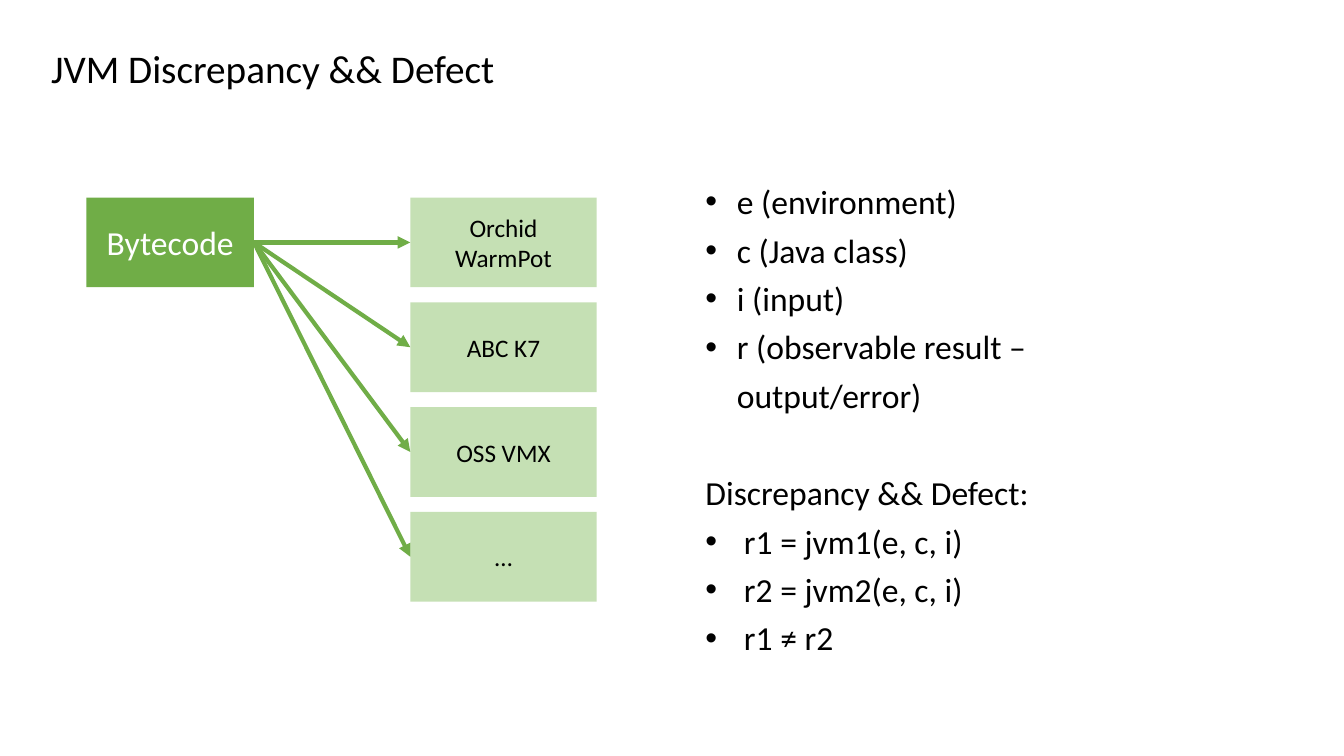
from lxml import etree
from pptx import Presentation
from pptx.dml.color import RGBColor
from pptx.enum.shapes import MSO_CONNECTOR, MSO_SHAPE
from pptx.enum.text import MSO_ANCHOR, MSO_AUTO_SIZE, PP_ALIGN
from pptx.oxml.ns import qn
from pptx.util import Cm, Pt

GREEN = RGBColor(0x70, 0xAD, 0x47)
LIGHT_GREEN = RGBColor(0xC5, 0xE0, 0xB4)
BLACK = RGBColor(0, 0, 0)
WHITE = RGBColor(0xFF, 0xFF, 0xFF)
FONT = "Calibri"

MACHINES = ["Orchid WarmPot", "ABC K7", "OSS VMX", "…"]
ROW_TOP, ROW_PITCH, BOX_HEIGHT = 4.98, 2.64, 2.26
BYTECODE_LEFT, BYTECODE_WIDTH = 2.18, 4.22
MACHINE_LEFT, MACHINE_WIDTH = 10.34, 4.7

# Each line: wording, hanging indent in cm, space before in points
DEFINITIONS = [
    ("e (environment)", 0.79, 0),
    ("c (Java class)", 0.79, 0),
    ("i (input)", 0.79, 0),
    ("r (observable result – output/error)", 0.79, 0),
    ("Discrepancy && Defect:", 0, 35),
    ("r1 = jvm1(e, c, i)", 0.97, 0),
    ("r2 = jvm2(e, c, i)", 0.97, 0),
    ("r1 ≠ r2", 0.97, 0),
]


def write(paragraph, wording, size, color):
    paragraph.text = wording
    for run in paragraph.runs:
        run.font.name = FONT
        run.font.size = Pt(size)
        run.font.color.rgb = color


def add_text_frame(slide, left, top, width, height):
    area = slide.shapes.add_textbox(Cm(left), Cm(top), Cm(width), Cm(height))
    frame = area.text_frame
    frame.word_wrap = True
    frame.auto_size = MSO_AUTO_SIZE.SHAPE_TO_FIT_TEXT
    return frame


def add_box(slide, left, top, width, wording, size, fill, color):
    box = slide.shapes.add_shape(
        MSO_SHAPE.RECTANGLE, Cm(left), Cm(top), Cm(width), Cm(BOX_HEIGHT))
    box.shadow.inherit = False
    box.fill.solid()
    box.fill.fore_color.rgb = fill
    box.line.fill.background()
    box.text_frame.word_wrap = True
    box.text_frame.vertical_anchor = MSO_ANCHOR.MIDDLE
    label = box.text_frame.paragraphs[0]
    write(label, wording, size, color)
    label.alignment = PP_ALIGN.CENTER
    return box


def add_arrow(slide, source, target):
    arrow = slide.shapes.add_connector(MSO_CONNECTOR.STRAIGHT, 0, 0, 0, 0)
    # Rectangle connection sites: 1 is the left side, 3 the right
    arrow.begin_connect(source, 3)
    arrow.end_connect(target, 1)
    arrow.line.color.rgb = GREEN
    arrow.line.width = Pt(3)
    etree.SubElement(arrow.line._get_or_add_ln(), qn("a:tailEnd"), type="triangle")
    etree.SubElement(arrow._element.spPr, qn("a:effectLst"))


def add_bullet(paragraph, indent):
    properties = paragraph._p.get_or_add_pPr()
    properties.set("marL", str(Cm(indent)))
    properties.set("indent", str(-Cm(indent)))
    etree.SubElement(properties, qn("a:buFont"), typeface="Arial")
    etree.SubElement(properties, qn("a:buChar"), char="•")


def add_definitions(slide):
    frame = add_text_frame(slide, 17.53, 4.24, 13.4, 11.25)
    for number, (wording, indent, space) in enumerate(DEFINITIONS):
        line = frame.add_paragraph() if number else frame.paragraphs[0]
        write(line, wording, 24, BLACK)
        line.line_spacing = 1.2
        line.space_before = Pt(space)
        if indent:
            add_bullet(line, indent)


def main():
    deck = Presentation()
    deck.slide_width, deck.slide_height = Cm(33.87), Cm(19.05)
    slide = deck.slides.add_slide(deck.slide_layouts[6])

    # Title
    title = add_text_frame(slide, 1.04, 0.99, 12.37, 1.45)
    write(title.paragraphs[0], "JVM Discrepancy && Defect", 28, BLACK)

    # Bytecode and the machines that run it
    bytecode = add_box(slide, BYTECODE_LEFT, ROW_TOP, BYTECODE_WIDTH,
                       "Bytecode", 24, GREEN, WHITE)
    machines = [
        add_box(slide, MACHINE_LEFT, ROW_TOP + row * ROW_PITCH, MACHINE_WIDTH,
                name, 18, LIGHT_GREEN, BLACK)
        for row, name in enumerate(MACHINES)
    ]
    for machine in machines:
        add_arrow(slide, bytecode, machine)

    # Terms and the condition for a discrepancy
    add_definitions(slide)

    deck.save("out.pptx")


if __name__ == "__main__":
    main()
